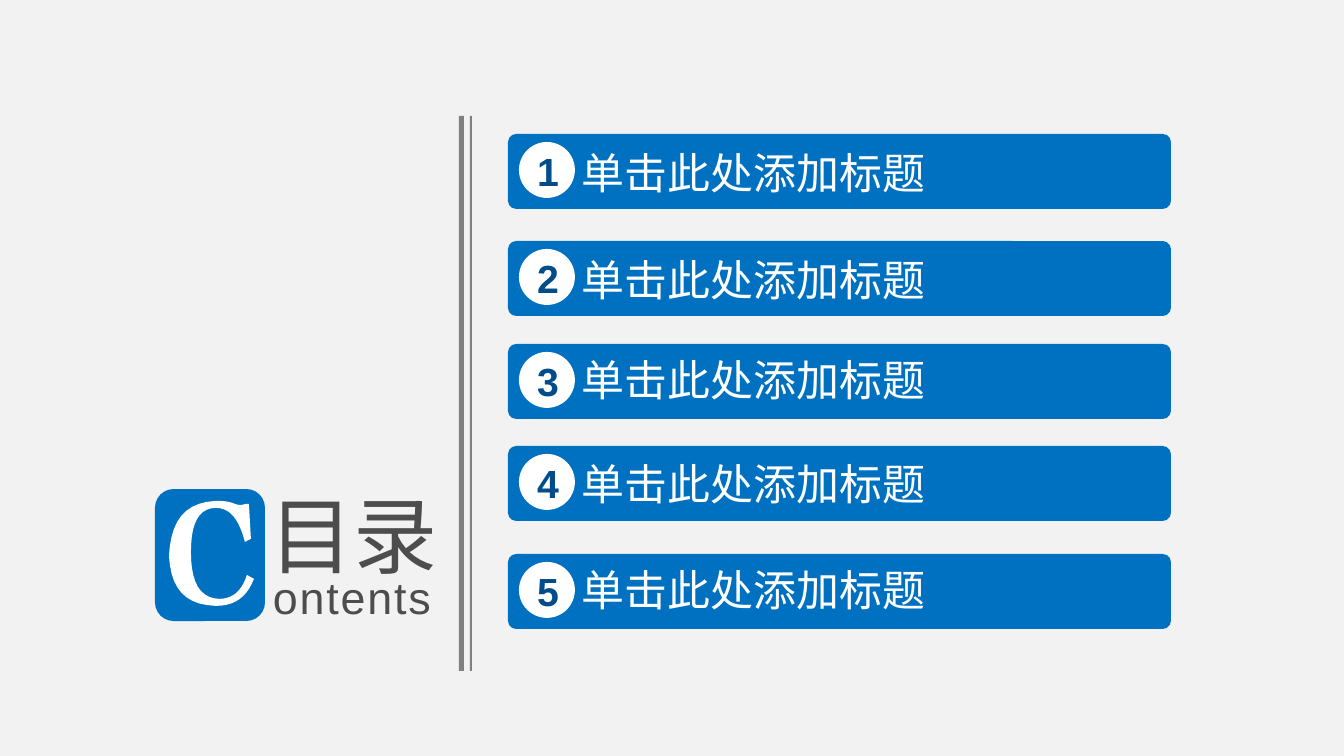
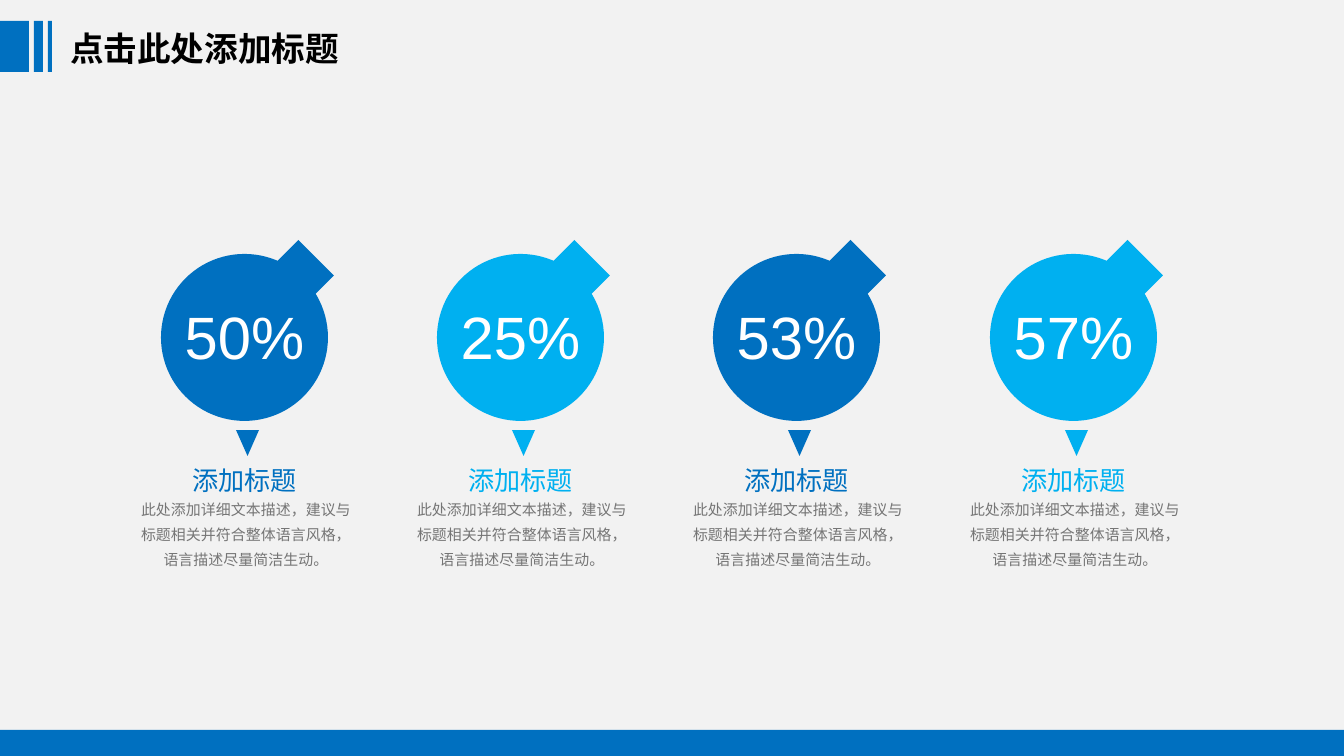
from lxml import etree
from pptx import Presentation
from pptx import util as u
from pptx.dml.color import RGBColor
from pptx.enum import shapes, text
from pptx.oxml.ns import qn

PX = 914400 / 134.4
WIDTH, HEIGHT = 1344, 756
FONT = "Arial"
BLUE = RGBColor(0x00, 0x70, 0xC0)
SKY = RGBColor(0x00, 0xB0, 0xF0)
NAVY = RGBColor(0x02, 0x4C, 0x89)
WHITE = RGBColor(0xFF, 0xFF, 0xFF)
BLACK = RGBColor(0x00, 0x00, 0x00)
PAPER = RGBColor(0xF2, 0xF2, 0xF2)
CHARCOAL = RGBColor(0x4D, 0x4D, 0x4D)
GRAY = RGBColor(0x80, 0x80, 0x80)
BODY_GRAY = RGBColor(0x40, 0x40, 0x40)

KIND = shapes.MSO_SHAPE
CENTER = text.PP_ALIGN.CENTER
SNUG = (9, 5, 9, 5)
PADDED = (7, 7, 7, 7)
DEFAULT_INSETS = (13, 7, 13, 7)
NO_INSETS = (0, 0, 0, 0)

AGENDA_TITLE = "目录"
AGENDA_SUBTITLE = "ontents"
AGENDA = [
    ("单击此处添加标题", 134, 142),
    ("单击此处添加标题", 241, 249),
    ("单击此处添加标题", 344, 349),
    ("单击此处添加标题", 446, 453),
    ("单击此处添加标题", 554, 559),
]
RULES = [(459, 5), (470, 2)]
LETTER_C_START = (251, 539)
LETTER_C = [
    [(249, 504)],
    [(246, 504)],
    [(242, 505)],
    [(239, 505), (238, 505), (235, 504)],
    [(228, 501), (222, 501), (215, 501)],
    [(185, 503), (171, 520), (169, 556)],
    [(171, 589), (185, 605), (216, 606)],
    [(235, 606), (247, 597), (254, 579)],
    [(247, 575)],
    [(242, 591), (233, 599), (219, 599)],
    [(200, 598), (191, 583), (191, 552)],
    [(191, 523), (199, 508), (216, 508)],
    [(230, 508), (239, 519), (245, 542)],
]

PERCENT_TITLE = "点击此处添加标题"
PERCENTAGES = ["50%", "25%", "53%", "57%"]
PERCENT_HEADING = "添加标题"
PERCENT_TEXT = "此处添加详细文本描述，建议与标题相关并符合整体语言风格，语言描述尽量简洁生动。"
TITLE_BARS = [(0, 29), (34, 9), (48, 4)]


def px(value):
    return u.Emu(round(value * PX))


def paint(shape, color):
    shape.shadow.inherit = False
    shape.fill.solid()
    shape.fill.fore_color.rgb = color
    shape.line.fill.background()


def add_block(slide, kind, box, color):
    shape = slide.shapes.add_shape(kind, *map(px, box))
    paint(shape, color)
    return shape


def write(shape, content, size, color, insets=SNUG, bold=False, align=None,
          spacing=None, wrap=True):
    frame = shape.text_frame
    frame.text = content
    frame.word_wrap = wrap
    frame.vertical_anchor = text.MSO_ANCHOR.TOP
    frame.auto_size = text.MSO_AUTO_SIZE.SHAPE_TO_FIT_TEXT
    (frame.margin_left, frame.margin_top,
     frame.margin_right, frame.margin_bottom) = map(px, insets)
    paragraph = frame.paragraphs[0]
    paragraph.alignment = align or text.PP_ALIGN.LEFT
    paragraph.line_spacing = spacing
    run = paragraph.runs[0]
    run.font.name = FONT
    run.font.size = u.Pt(size)
    run.font.bold = bold
    run.font.color.rgb = color
    return run


def add_text(slide, box, content, size, color, **style):
    return write(slide.shapes.add_textbox(*map(px, box)), content, size, color, **style)


def set_title(slide, box, content, size, color, **style):
    title = slide.shapes.title
    title.left, title.top, title.width, title.height = map(px, box)
    write(title, content, size, color, **style)


def curve_points(start, controls, steps=10):
    if len(controls) == 1:
        return controls
    points = [start, *controls]
    weights = (1, 3, 3, 1)
    return [
        tuple(sum(w * (1 - t) ** (3 - k) * t ** k * point[axis]
                  for k, (w, point) in enumerate(zip(weights, points)))
              for axis in (0, 1))
        for t in (step / steps for step in range(1, steps + 1))
    ]


def add_letter_c(slide):
    outline = [LETTER_C_START]
    for controls in LETTER_C:
        outline += curve_points(outline[-1], controls)
    outline = [(px(x), px(y)) for x, y in outline]
    builder = slide.shapes.build_freeform(*outline[0])
    builder.add_line_segments(outline[1:], close=True)
    paint(builder.convert_to_shape(), WHITE)


def build_agenda(slide):
    badge = add_block(slide, KIND.ROUNDED_RECTANGLE, (155, 489, 110, 132), BLUE)
    badge.adjustments[0] = 0.17
    add_letter_c(slide)
    set_title(slide, (269, 483, 180, 84), AGENDA_TITLE, 45, CHARCOAL,
              insets=NO_INSETS, wrap=False)
    subtitle = add_text(slide, (273, 570, 175, 50), AGENDA_SUBTITLE, 24, CHARCOAL,
                        insets=NO_INSETS, wrap=False)
    subtitle.font._element.set("spc", "100")
    for left, width in RULES:
        add_block(slide, KIND.RECTANGLE, (left, 116, width, 555), GRAY)
    for number, (label, top, label_top) in enumerate(AGENDA, 1):
        bar = add_block(slide, KIND.ROUNDED_RECTANGLE, (508, top, 663, 75), BLUE)
        bar.adjustments[0] = 0.11
        add_block(slide, KIND.OVAL, (519, top + 8, 56, 56), WHITE)
        add_text(slide, (524, top + 6, 48, 60), str(number), 21, NAVY,
                 insets=DEFAULT_INSETS, bold=True, wrap=False)
        add_text(slide, (573, label_top, 430, 62), label, 23, WHITE)


def build_percentages(slide):
    set_title(slide, (61, 23, 292, 51), PERCENT_TITLE, 18, BLACK, bold=True)
    for left, width in TITLE_BARS:
        add_block(slide, KIND.RECTANGLE, (left, 21, width, 51), BLUE)
    for index, percentage in enumerate(PERCENTAGES):
        left = 161 + index * 829 // 3
        color = (BLUE, SKY)[index % 2]
        add_block(slide, KIND.OVAL, (left, 254, 167, 167), color)
        add_block(slide, KIND.FLOWCHART_DECISION, (left + 102, 240, 71, 71), color)
        add_text(slide, (left, 293, 167, 86), percentage, 32, WHITE,
                 insets=PADDED, align=CENTER)
        add_text(slide, (left, 461, 167, 42), PERCENT_HEADING, 14, color,
                 insets=PADDED, align=CENTER, spacing=0.9)
        run = add_text(slide, (left - 21, 493, 212, 77), PERCENT_TEXT, 8, BODY_GRAY,
                       insets=NO_INSETS, align=CENTER, spacing=1.4)
        tint = run.font._element.find(".//" + qn("a:srgbClr"))
        etree.SubElement(tint, qn("a:alpha")).set("val", "70000")
        pointer = add_block(slide, KIND.ISOSCELES_TRIANGLE, (left + 75, 430, 23, 26), color)
        pointer.rotation = 180
    add_block(slide, KIND.RECTANGLE, (0, 730, WIDTH, HEIGHT - 730), BLUE)


def main():
    presentation = Presentation()
    presentation.slide_width, presentation.slide_height = px(WIDTH), px(HEIGHT)
    background = presentation.slide_master.background.fill
    background.solid()
    background.fore_color.rgb = PAPER
    title_only = presentation.slide_layouts[5]
    for build in (build_agenda, build_percentages):
        build(presentation.slides.add_slide(title_only))
    presentation.save("out.pptx")


if __name__ == "__main__":
    main()
